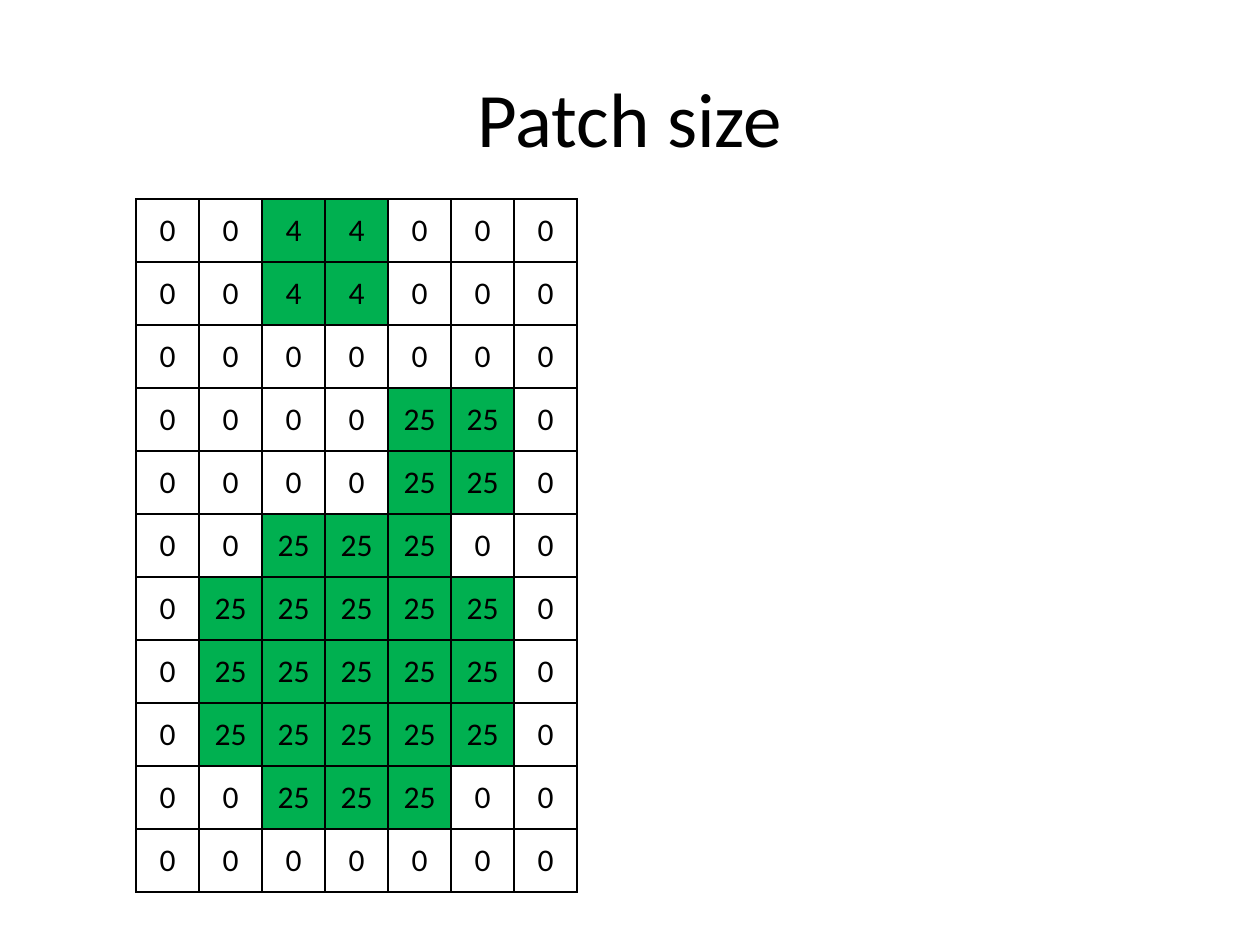
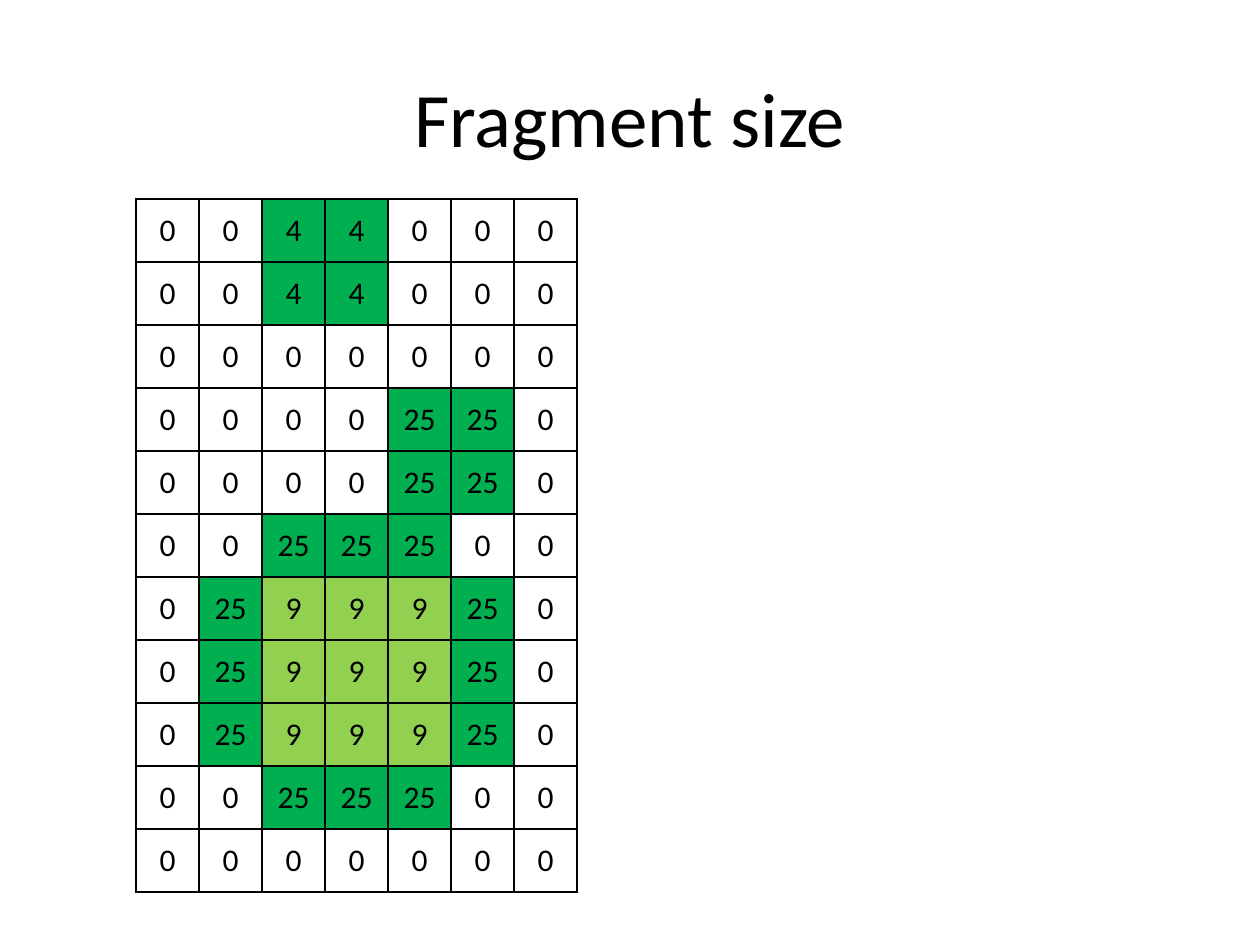
"""Build two slides that compare patch size and fragment size on a grid of cells."""
from dataclasses import dataclass

from lxml import etree
from pptx import Presentation
from pptx.dml.color import RGBColor
from pptx.enum.text import MSO_ANCHOR, PP_ALIGN
from pptx.oxml.ns import qn
from pptx.util import Inches, Pt

CENTER = PP_ALIGN.CENTER
MIDDLE = MSO_ANCHOR.MIDDLE


@dataclass(frozen=True)
class Theme:
    font: str = "Calibri"
    title_size: int = 44
    cell_size: int = 18
    border_width: int = 1
    text: str = "000000"
    border: str = "000000"
    empty: str = "FFFFFF"
    patch: str = "00B050"
    core: str = "92D050"


THEME = Theme()
CELL_SIDE = Inches(0.5)
CELL_FILLS = {0: THEME.empty, 4: THEME.patch, 25: THEME.patch, 9: THEME.core}

PATCH_GRID = [
    [0, 0, 4, 4, 0, 0, 0],
    [0, 0, 4, 4, 0, 0, 0],
    [0, 0, 0, 0, 0, 0, 0],
    [0, 0, 0, 0, 25, 25, 0],
    [0, 0, 0, 0, 25, 25, 0],
    [0, 0, 25, 25, 25, 0, 0],
    [0, 25, 25, 25, 25, 25, 0],
    [0, 25, 25, 25, 25, 25, 0],
    [0, 25, 25, 25, 25, 25, 0],
    [0, 0, 25, 25, 25, 0, 0],
    [0, 0, 0, 0, 0, 0, 0],
]
CORE_ROWS = range(6, 9)
CORE_COLUMNS = range(2, 5)
FRAGMENT_GRID = [
    [9 if r in CORE_ROWS and c in CORE_COLUMNS else value for c, value in enumerate(values)]
    for r, values in enumerate(PATCH_GRID)
]


def write_text(text_frame, text, size):
    paragraph = text_frame.paragraphs[0]
    paragraph.text = text
    paragraph.alignment = CENTER
    paragraph.font.name = THEME.font
    paragraph.font.size = Pt(size)
    paragraph.font.color.rgb = RGBColor.from_string(THEME.text)


def add_borders(cell):
    properties = cell._tc.get_or_add_tcPr()
    for side in ("a:lnL", "a:lnR", "a:lnT", "a:lnB"):
        line = etree.SubElement(properties, qn(side), w=str(Pt(THEME.border_width)))
        fill = etree.SubElement(line, qn("a:solidFill"))
        etree.SubElement(fill, qn("a:srgbClr"), val=THEME.border)


presentation = Presentation()
presentation.slide_width = Inches(10)
presentation.slide_height = Inches(7.5)
blank_layout = presentation.slide_layouts[6]

for title, grid in (("Patch size", PATCH_GRID), ("Fragment size", FRAGMENT_GRID)):
    slide = presentation.slides.add_slide(blank_layout)

    row_count, column_count = len(grid), len(grid[0])
    table = slide.shapes.add_table(
        row_count, column_count, Inches(1.08), Inches(1.58),
        CELL_SIDE * column_count, CELL_SIDE * row_count,
    ).table
    table.first_row = False
    table.horz_banding = False
    for r, values in enumerate(grid):
        for c, value in enumerate(values):
            cell = table.cell(r, c)
            cell.vertical_anchor = MIDDLE
            write_text(cell.text_frame, str(value), THEME.cell_size)
            add_borders(cell)
            cell.fill.solid()
            cell.fill.fore_color.rgb = RGBColor.from_string(CELL_FILLS[value])

    title_box = slide.shapes.add_textbox(Inches(0.5), Inches(0.3), Inches(9), Inches(1.25))
    title_box.text_frame.word_wrap = True
    title_box.text_frame.vertical_anchor = MIDDLE
    write_text(title_box.text_frame, title, THEME.title_size)

presentation.save("out.pptx")
